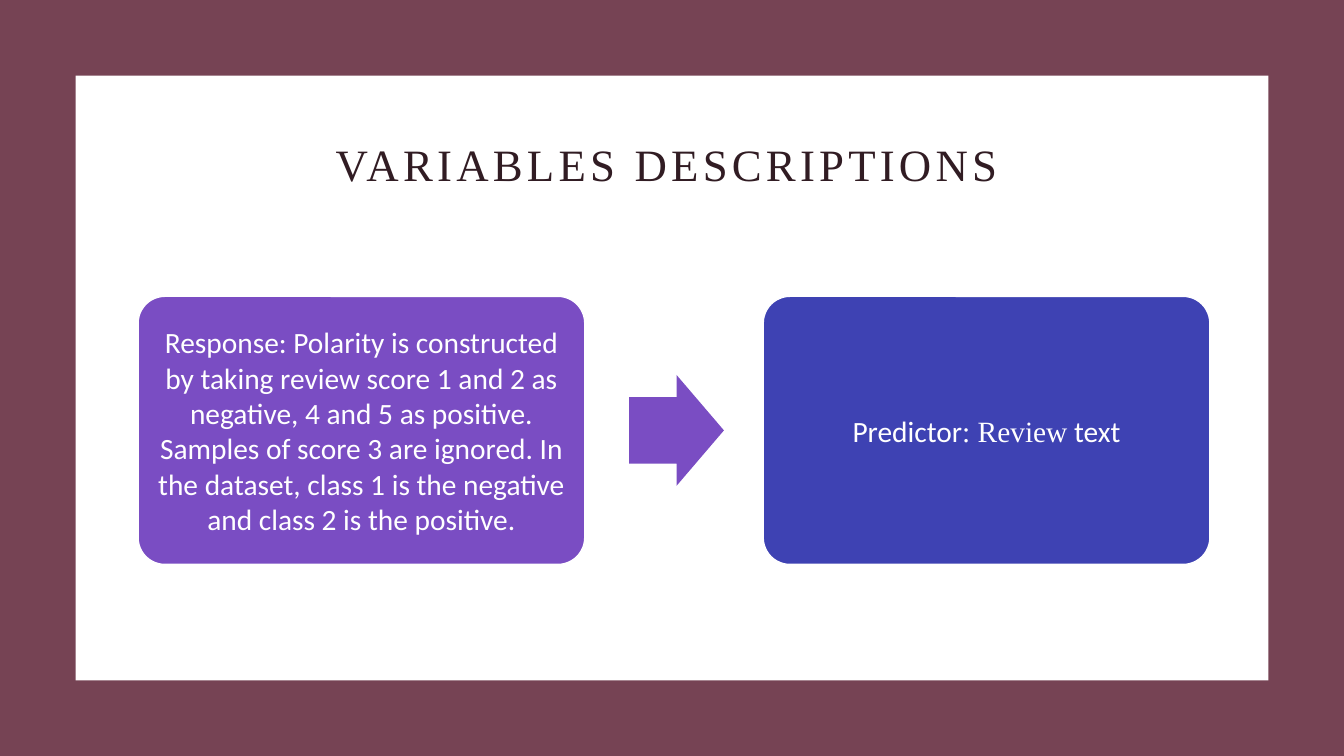
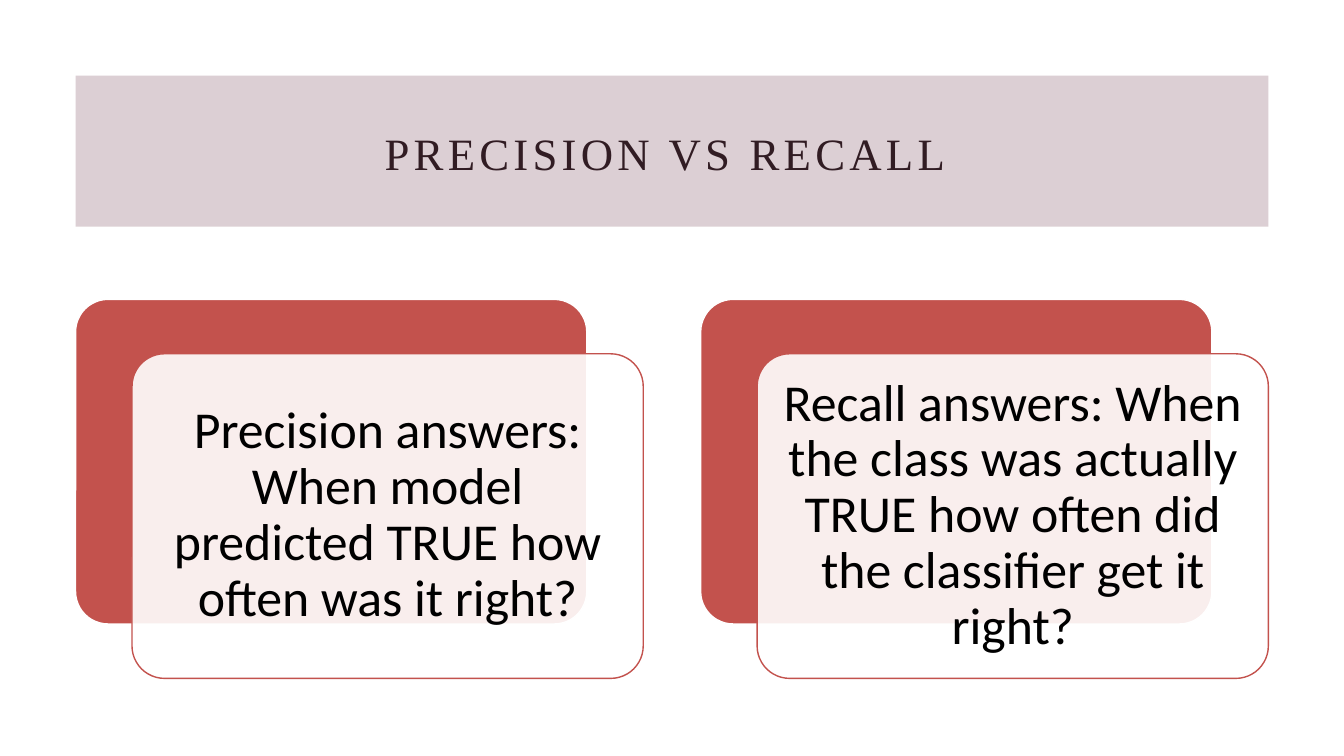
"""Builds two slides on review variables and on precision versus recall."""
import pptx
import pptx.dml.color
import pptx.enum.shapes
import pptx.enum.text
import pptx.util
from lxml import etree
from pptx.oxml.ns import qn

Inches = pptx.util.Inches
Pt = pptx.util.Pt
RGBColor = pptx.dml.color.RGBColor
Shape = pptx.enum.shapes.MSO_SHAPE

PLUM = RGBColor(0x76, 0x43, 0x54)
DARK_PLUM = RGBColor(0x31, 0x1C, 0x23)
PURPLE = RGBColor(0x7A, 0x4D, 0xC3)
INDIGO = RGBColor(0x3E, 0x42, 0xB3)
RED = RGBColor(0xC3, 0x52, 0x4D)
WHITE = RGBColor(0xFF, 0xFF, 0xFF)
BLACK = RGBColor(0, 0, 0)

TITLE_FONT = "Times New Roman"
BODY_FONT = "Calibri"
MARGIN = 0.75
CONTENT_WIDTH = 11.83


class Deck:
    """Holds the presentation, its style and the current slide."""

    def __init__(self):
        self.prs = pptx.Presentation()
        self.prs.slide_width = Inches(13.33)
        self.prs.slide_height = Inches(7.5)
        self.slide = None

    def new_slide(self):
        self.slide = self.prs.slides.add_slide(self.prs.slide_layouts[5])

    def title(self, text, left, top, width, height):
        title = self.slide.shapes.title
        self.slide.shapes._spTree.append(title._element)
        title.left, title.top = Inches(left), Inches(top)
        title.width, title.height = Inches(width), Inches(height)
        frame = title.text_frame
        frame.text = text
        frame.auto_size = pptx.enum.text.MSO_AUTO_SIZE.NONE
        self.format_text(frame, 32, DARK_PLUM, TITLE_FONT, 0.9)
        for run in frame.paragraphs[0].runs:
            run._r.get_or_add_rPr().set("spc", "300")

    def format_text(self, frame, size, color, font, line_spacing):
        frame.word_wrap = True
        frame.vertical_anchor = pptx.enum.text.MSO_ANCHOR.MIDDLE
        paragraph = frame.paragraphs[0]
        paragraph.alignment = pptx.enum.text.PP_ALIGN.CENTER
        paragraph.line_spacing = line_spacing
        for run in paragraph.runs:
            run.font.name = font
            run.font.size = Pt(size)
            run.font.color.rgb = color

    def block(self, kind, left, top, width, height, fill, line=None, opacity=100):
        block = self.slide.shapes.add_shape(
            kind, Inches(left), Inches(top), Inches(width), Inches(height))
        block.shadow.inherit = False
        block.fill.solid()
        block.fill.fore_color.rgb = fill
        if opacity < 100:
            color = block._element.spPr.find(qn("a:solidFill"))[0]
            etree.SubElement(color, qn("a:alpha")).set("val", str(opacity * 1000))
        if line is None:
            block.line.fill.background()
        else:
            block.line.color.rgb = line
            block.line.width = Pt(1)
        return block

    def card(self, left, top, width, height, fill, line=WHITE, opacity=100):
        card = self.block(Shape.ROUNDED_RECTANGLE, left, top, width, height,
                          fill, line, opacity)
        card.adjustments[0] = 0.1
        return card

    def card_text(self, card, parts, size, color, inset, line_spacing=1.0):
        frame = card.text_frame
        frame.margin_left = frame.margin_right = Inches(inset)
        frame.margin_top = frame.margin_bottom = Inches(inset)
        for part in parts:
            frame.paragraphs[0].add_run().text = part
        self.format_text(frame, size, color, BODY_FONT, line_spacing)

    def arrow(self, left, top, width, height, fill):
        arrow = self.block(Shape.RIGHT_ARROW, left, top, width, height, fill)
        arrow.adjustments[0] = 0.6
        arrow.adjustments[1] = 0.5


def variables_slide(deck):
    deck.new_slide()
    deck.block(Shape.RECTANGLE, 0, 0, 13.33, 7.5, PLUM)
    deck.block(Shape.RECTANGLE, MARGIN, MARGIN, CONTENT_WIDTH, 6, WHITE)
    deck.title("VARIABLES DESCRIPTIONS ", 1.5, 1.17, 10.38, 0.98)
    response = (
        "Response: Polarity is constructed by taking review score 1 and 2 as "
        "negative, 4 and 5 as positive. Samples of score 3 are ignored. In the "
        "dataset, class 1 is the negative and class 2 is the positive.")
    variables = [(1.37, PURPLE, [response]),
                 (7.57, INDIGO, ["Predictor", ": Review", " text"])]
    for left, fill, parts in variables:
        card = deck.card(left, 2.94, 4.43, 2.66, fill)
        deck.card_text(card, parts, 21, WHITE, 0.09)
    card.text_frame.paragraphs[0].runs[1].font.name = TITLE_FONT
    deck.arrow(6.24, 3.72, 0.94, 1.1, PURPLE)


def metrics_slide(deck):
    deck.new_slide()
    deck.block(Shape.RECTANGLE, MARGIN, MARGIN, CONTENT_WIDTH, 1.5, PLUM, opacity=25)
    deck.title("PRECISION VS RECALL ", 1.53, 1.04, 10.27, 1.02)
    answers = [
        "Precision answers: When model predicted TRUE how often was it right?",
        "Recall answers: When the class was actually TRUE how often did the "
        "classifier get it right?",
    ]
    for index, answer in enumerate(answers):
        left = MARGIN + index * 6.2
        deck.card(left, 2.97, 5.07, 3.22, RED)
        front = deck.card(left + 0.56, 3.51, 5.07, 3.22, WHITE, RED, 90)
        deck.card_text(front, [answer], 37, BLACK, 0.15, 0.9)


def main():
    deck = Deck()
    variables_slide(deck)
    metrics_slide(deck)
    deck.prs.save("out.pptx")


if __name__ == "__main__":
    main()
